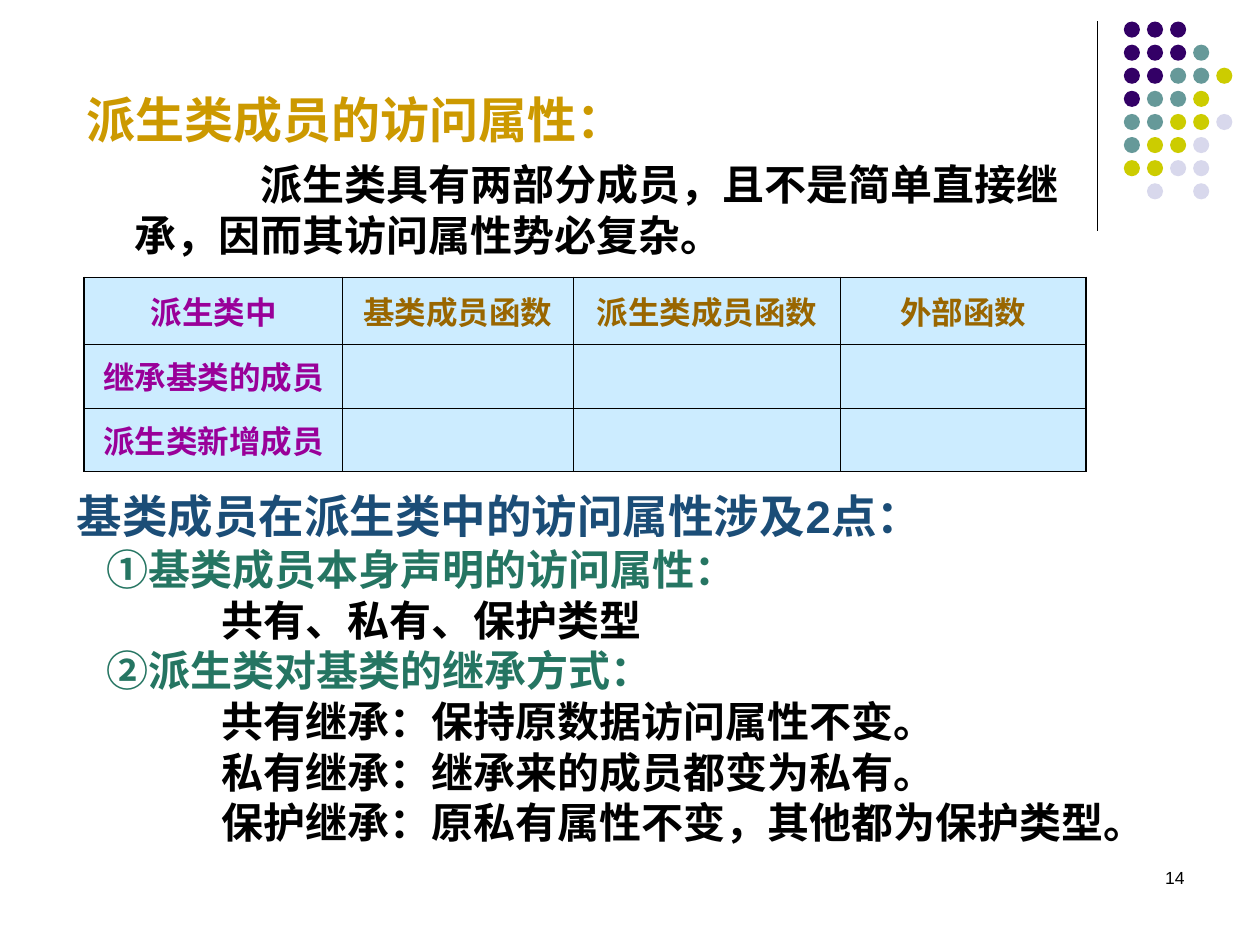
from lxml.etree import SubElement
from pptx import Presentation
from pptx.dml.color import RGBColor
from pptx.enum.shapes import MSO_CONNECTOR, MSO_SHAPE
from pptx.enum.text import MSO_ANCHOR, MSO_AUTO_SIZE, PP_ALIGN
from pptx.oxml.ns import qn
from pptx.util import Pt

THEME = {
    "latin": "Arial", "cjk": "Noto Sans CJK SC", "title_cjk": "Noto Sans CJK JP",
    "title_size": 28, "lead_size": 26, "body_size": 24, "table_size": 18, "page_size": 10,
    "gold": "CC9900", "black": "000000", "navy": "1B4D77", "green": "257562",
    "purple": "990099", "brown": "996600", "cell": "CCECFF",
    "P": "330066", "T": "669999", "Y": "CCCC00", "L": "D8D8EC",
}

TITLE = "派生类成员的访问属性："
INTRO = "派生类具有两部分成员，且不是简单直接继承，因而其访问属性势必复杂。"
PAGE = "14"

TABLE = [
    ["派生类中", "基类成员函数", "派生类成员函数", "外部函数"],
    ["继承基类的成员", "", "", ""],
    ["派生类新增成员", "", "", ""],
]
COL_WIDTHS = [147.6, 131.8, 152.6, 140.4]
ROW_HEIGHTS = [38.2, 36.4, 36.4]

POINTS = [
    ("lead", "基类成员在派生类中的访问属性涉及2点："),
    ("item", "①基类成员本身声明的访问属性："),
    ("detail", "共有、私有、保护类型"),
    ("item", "②派生类对基类的继承方式："),
    ("detail", "共有继承：保持原数据访问属性不变。"),
    ("detail", "私有继承：继承来的成员都变为私有。"),
    ("detail", "保护继承：原私有属性不变，其他都为保护类型。"),
]
LEVELS = {
    "lead": ("lead_size", "navy", 0, 34.5),
    "item": ("body_size", "green", 17, 29),
    "detail": ("body_size", "black", 83, 29),
}

DOTS = ["PPP", "PPPT", "PPTTY", "PTTY", "TTYYL", "TYYL", "YYLL", " L L"]
DOT_LEFT, DOT_TOP, DOT_SIZE, DOT_STEP = 642.2, 12.3, 9.2, 13.2


def rgb(name):
    return RGBColor.from_string(THEME[name])


def add_run(p, text, size, color, bold=True, cjk="cjk"):
    r = p.add_run()
    r.text = text
    r.font.size = Pt(THEME[size])
    r.font.bold = bold
    r.font.color.rgb = rgb(color)
    r.font.name = THEME["latin"]
    SubElement(r.font._element, qn("a:ea"), typeface=THEME[cjk])


def set_frame(tf):
    tf.word_wrap = True
    tf.auto_size = MSO_AUTO_SIZE.NONE
    tf.vertical_anchor = MSO_ANCHOR.TOP
    tf.margin_left = tf.margin_right = Pt(7.2)
    tf.margin_top = tf.margin_bottom = Pt(3.6)


def add_text_box(s, left, top, width, height):
    tf = s.shapes.add_textbox(Pt(left), Pt(top), Pt(width), Pt(height)).text_frame
    set_frame(tf)
    return tf


def set_indent(p, left, first=0):
    pPr = p._p.get_or_add_pPr()
    pPr.set("marL", str(Pt(left)))
    pPr.set("indent", str(Pt(first)))


def add_dots(s):
    group = s.shapes.add_group_shape()
    for row, line in enumerate(DOTS):
        for col, key in enumerate(line):
            if key == " ":
                continue
            sp = group.shapes.add_shape(
                MSO_SHAPE.OVAL, Pt(DOT_LEFT + col * DOT_STEP),
                Pt(DOT_TOP + row * DOT_STEP), Pt(DOT_SIZE), Pt(DOT_SIZE))
            sp.shadow.inherit = False
            sp.fill.solid()
            sp.fill.fore_color.rgb = rgb(key)
            sp.line.fill.background()


def add_rule(s):
    line = s.shapes.add_connector(
        MSO_CONNECTOR.STRAIGHT, Pt(627.1), Pt(12.2), Pt(627.1), Pt(131.8))
    line.line.width = Pt(0.75)
    line.line.color.rgb = rgb("black")
    SubElement(line._element.spPr, qn("a:effectLst"))


def set_borders(cell, outer):
    tcPr = cell._tc.get_or_add_tcPr()
    for i, side in enumerate(("lnL", "lnR", "lnT", "lnB")):
        width = Pt(1.08 if side in outer else 0.45)
        ln = SubElement(tcPr, qn("a:" + side), w=str(width))
        fill = SubElement(ln, qn("a:solidFill"))
        SubElement(fill, qn("a:srgbClr"), val=THEME["black"])
        tcPr.remove(ln)
        tcPr.insert(i, ln)


def add_access_table(s):
    rows, cols = len(TABLE), len(TABLE[0])
    table = s.shapes.add_table(
        rows, cols, Pt(48.2), Pt(158.5),
        Pt(sum(COL_WIDTHS)), Pt(sum(ROW_HEIGHTS))).table
    for col, width in zip(table.columns, COL_WIDTHS):
        col.width = Pt(width)
    for row, height in zip(table.rows, ROW_HEIGHTS):
        row.height = Pt(height)
    for i, texts in enumerate(TABLE):
        for j, text in enumerate(texts):
            cell = table.cell(i, j)
            cell.fill.solid()
            cell.fill.fore_color.rgb = rgb("cell")
            cell.vertical_anchor = MSO_ANCHOR.MIDDLE
            edges = {"lnL": j == 0, "lnR": j == cols - 1,
                     "lnT": i == 0, "lnB": i == rows - 1}
            set_borders(cell, [side for side, is_outer in edges.items() if is_outer])
            p = cell.text_frame.paragraphs[0]
            p.alignment = PP_ALIGN.CENTER
            if text:
                add_run(p, text, "table_size", "brown" if j else "purple")


def add_title(s):
    title = s.shapes.title
    title.left, title.top, title.width, title.height = Pt(42.5), Pt(47.3), Pt(580), Pt(40)
    set_frame(title.text_frame)
    p = title.text_frame.paragraphs[0]
    p.alignment = PP_ALIGN.LEFT
    p.line_spacing = Pt(34)
    add_run(p, TITLE, "title_size", "gold", cjk="title_cjk")


def add_intro(s):
    p = add_text_box(s, 42.5, 86.8, 585, 70).paragraphs[0]
    set_indent(p, 27.4, 72)
    p.line_spacing = Pt(29)
    add_run(p, INTRO, "body_size", "black")


def add_points(s):
    tf = add_text_box(s, 36.7, 272.2, 652.3, 213.8)
    for i, (level, text) in enumerate(POINTS):
        size, color, left, spacing = LEVELS[level]
        p = tf.add_paragraph() if i else tf.paragraphs[0]
        set_indent(p, left)
        p.line_spacing = Pt(spacing)
        add_run(p, text, size, color)


def add_page_number(s):
    p = add_text_box(s, 516.2, 491.8, 167.8, 36).paragraphs[0]
    p.alignment = PP_ALIGN.RIGHT
    add_run(p, PAGE, "page_size", "black", bold=False)


def main():
    prs = Presentation()
    prs.slide_width, prs.slide_height = Pt(720), Pt(540)
    s = prs.slides.add_slide(prs.slide_layouts[5])
    add_rule(s)
    add_dots(s)
    add_page_number(s)
    add_title(s)
    add_intro(s)
    add_access_table(s)
    add_points(s)
    prs.save("out.pptx")


if __name__ == "__main__":
    main()
